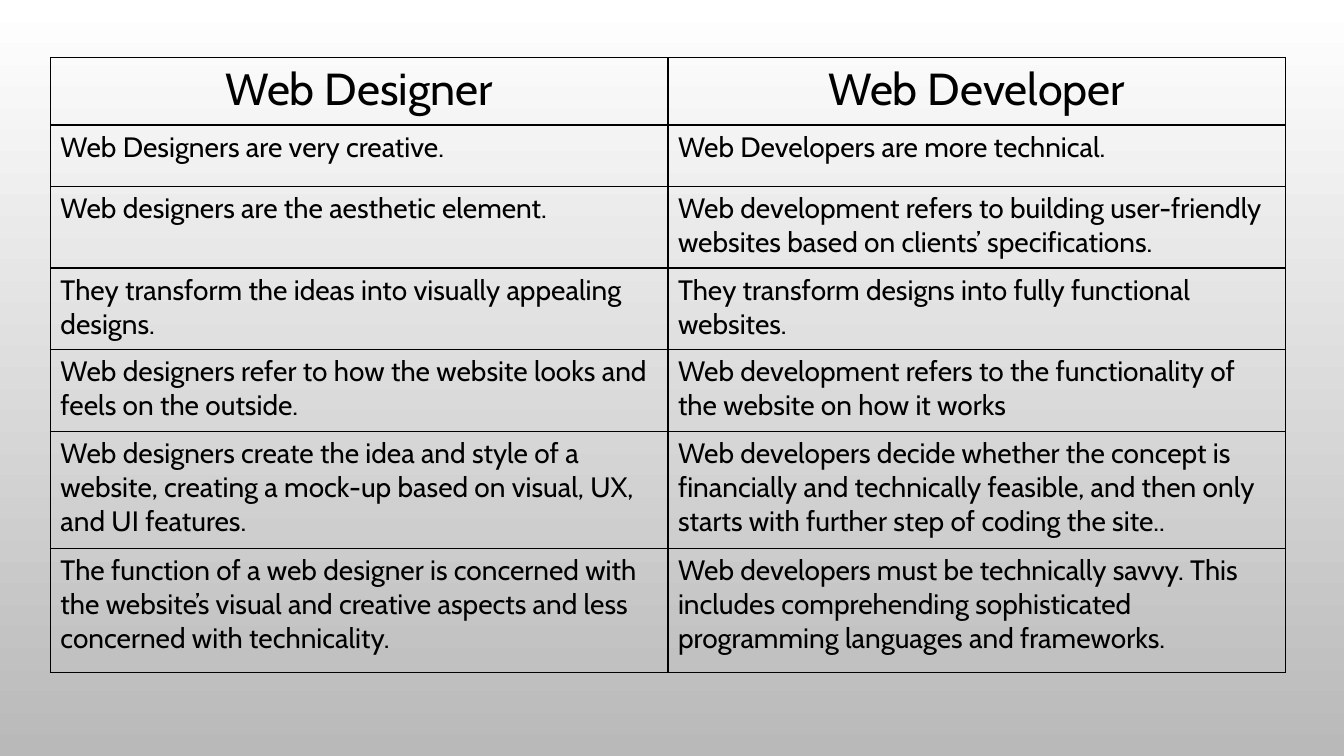
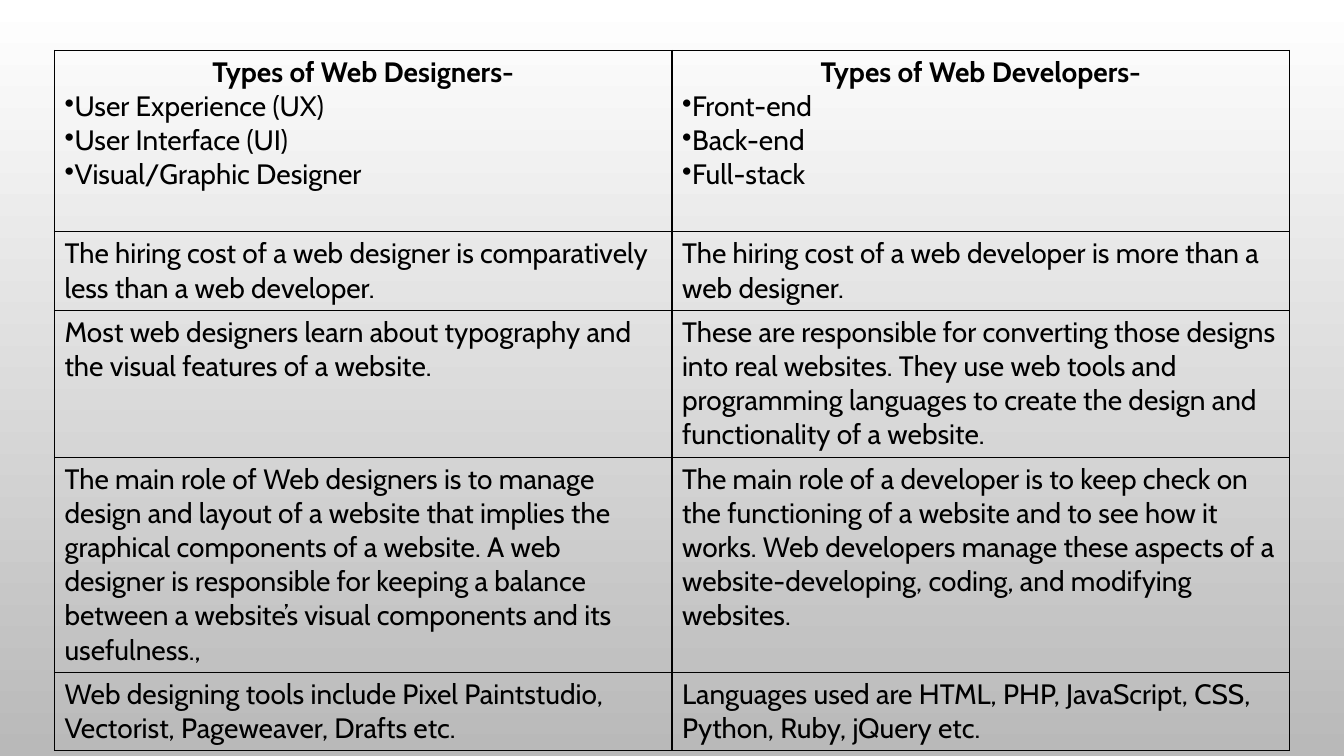
"""Build two comparison tables of web designers and web developers."""
from lxml.etree import SubElement
from pptx import Presentation
from pptx.dml.color import RGBColor
from pptx.enum.text import PP_ALIGN
from pptx.oxml import parse_xml
from pptx.oxml.ns import nsdecls, qn
from pptx.util import Inches, Pt

BLACK = RGBColor(0x00, 0x00, 0x00)
WHITE = RGBColor(0xFF, 0xFF, 0xFF)
GREY = RGBColor(0xB9, 0xB9, 0xB9)
FONT = "Cabin"
TABLE_WIDTH = 12.25
BODY = {"size": Pt(20), "bold": False}
TITLE = {"size": Pt(32), "bold": False}
HEADING = {"size": Pt(20), "bold": True}

TABLES = [
    {
        "left": 0.5, "top": 0.57, "header": TITLE,
        "heights": [0.67, 0.61, 0.81, 0.81, 0.81, 1.16, 1.23],
        "rows": [
            ("Web Designer", "Web Developer"),
            ("Web Designers are very creative.",
             "Web Developers are more technical."),
            ("Web designers are the aesthetic element.",
             "Web development refers to building user-friendly websites based on clients’ specifications."),
            ("They transform the ideas into visually appealing designs.",
             "They transform designs into fully functional websites."),
            ("Web designers refer to how the website looks and feels on the outside.",
             "Web development refers to the functionality of the website on how it works"),
            ("Web designers create the idea and style of a website, creating a mock-up based on visual, UX, "
             "and UI features.",
             "Web developers decide whether the concept is financially and technically feasible, and then only "
             "starts with further step of coding the site.."),
            ("The function of a web designer is concerned with the website’s visual and creative aspects and "
             "less concerned with technicality.",
             "Web developers must be technically savvy. This includes comprehending sophisticated programming "
             "languages and frameworks."),
        ],
    },
    {
        "left": 0.54, "top": 0.5, "header": HEADING,
        "heights": [1.8, 0.77, 1.46, 2.13, 0.78],
        "rows": [
            ("Types of Web Designers-\nUser Experience (UX)\nUser Interface (UI)\nVisual/Graphic Designer",
             "Types of Web Developers-\nFront-end\nBack-end\nFull-stack"),
            ("The hiring cost of a web designer is comparatively less than a web developer.",
             "The hiring cost of a web developer is more than a web designer."),
            ("Most web designers learn about typography and the visual features of a website.",
             "These are responsible for converting those designs into real websites. They use web tools and "
             "programming languages to create the design and functionality of a website."),
            ("The main role of Web designers is to manage design and layout of a website that implies the "
             "graphical components of a website. A web designer is responsible for keeping a balance between "
             "a website’s visual components and its usefulness.,",
             "The main role of a developer is to keep check on the functioning of a website and to see how it "
             "works. Web developers manage these aspects of a website-developing, coding, and modifying websites."),
            ("Web designing tools include Pixel Paintstudio, Vectorist, Pageweaver, Drafts etc.",
             "Languages used are HTML, PHP, JavaScript, CSS, Python, Ruby, jQuery etc."),
        ],
    },
]


def write_cell(cell, text, is_header, header_format):
    """Write a cell: a header's first line is centred, its other lines are bullets."""
    cell.text = text
    for index, paragraph in enumerate(cell.text_frame.paragraphs):
        is_title = is_header and index == 0
        paragraph.alignment = PP_ALIGN.CENTER if is_title else PP_ALIGN.LEFT
        font = paragraph.runs[0].font
        for name, value in (header_format if is_title else BODY).items():
            setattr(font, name, value)
        font.name = FONT
        font.color.rgb = BLACK
        if is_header and index > 0:
            SubElement(paragraph._p.get_or_add_pPr(), qn("a:buChar"), char="•")


def style_cell(cell):
    """Draw thin black borders around a cell without a fill."""
    properties = cell._tc.get_or_add_tcPr()
    for side in ("lnL", "lnR", "lnT", "lnB"):
        properties.append(parse_xml(
            f'<a:{side} {nsdecls("a")} w="{Pt(1)}"><a:solidFill>'
            f'<a:srgbClr val="{BLACK}"/></a:solidFill></a:{side}>'))
    cell.fill.background()


presentation = Presentation()
presentation.slide_width = Inches(13.33)
presentation.slide_height = Inches(7.5)

for content in TABLES:
    slide = presentation.slides.add_slide(presentation.slide_layouts[6])
    background = slide.background.fill
    background.gradient()
    background.gradient_angle = 270
    for stop, color in zip(background.gradient_stops, (WHITE, GREY)):
        stop.color.rgb = color

    heights = content["heights"]
    table = slide.shapes.add_table(
        len(heights), 2, Inches(content["left"]), Inches(content["top"]),
        Inches(TABLE_WIDTH), Inches(sum(heights))).table
    table.first_row = False
    table.horz_banding = False
    for row_index, (height, texts) in enumerate(zip(heights, content["rows"])):
        table.rows[row_index].height = Inches(height)
        for cell, text in zip(table.rows[row_index].cells, texts):
            write_cell(cell, text, row_index == 0, content["header"])
            style_cell(cell)

presentation.save("out.pptx")
